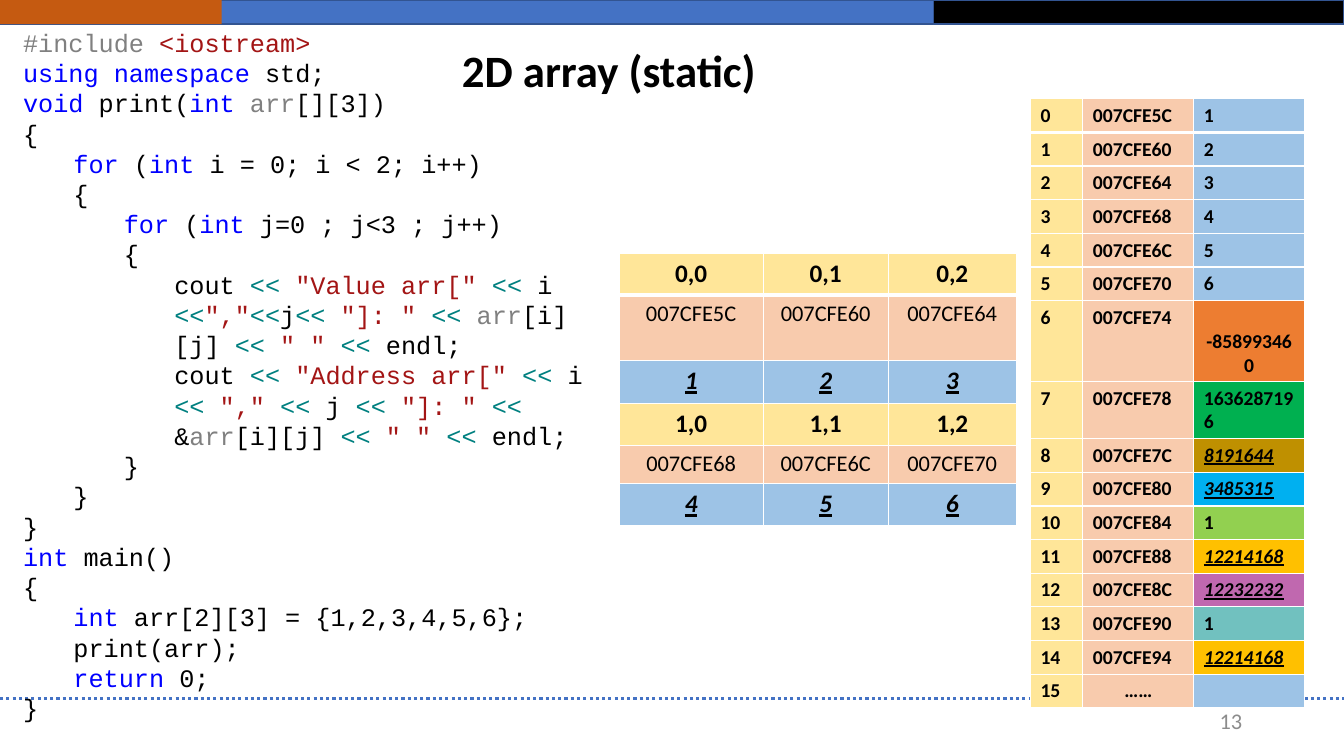
from dataclasses import dataclass
from lxml.etree import SubElement
from pptx import Presentation
from pptx.dml.color import RGBColor
from pptx.enum.dml import MSO_LINE
from pptx.enum.shapes import MSO_CONNECTOR, MSO_SHAPE
from pptx.enum.text import MSO_ANCHOR, PP_ALIGN
from pptx.oxml.ns import qn
from pptx.util import Inches, Pt


@dataclass(frozen=True)
class Theme:
    body_font: str = "Calibri"
    code_font: str = "Courier New"
    title_size: int = 32
    code_size: int = 18
    address_size: int = 16
    memory_size: int = 14
    number_size: int = 16
    black: str = "000000"
    white: str = "FFFFFF"
    blue: str = "4472C4"
    outline: str = "325491"
    rust: str = "C55A11"
    number: str = "8C8C8C"
    index_fill: str = "FFE699"
    address_fill: str = "F8CBAD"
    value_fill: str = "9DC3E6"


THEME = Theme()
SYNTAX = {"k": "0000FF", "s": "A31515", "o": "008080", "g": "808080"}
BASE_ADDRESS = 0x007CFE5C

CODE = [
    (0, "`g#include ``s<iostream>`"),
    (0, "`kusing namespace` std;"),
    (0, "`kvoid` print(`kint ``garr`[][3])"),
    (0, "{"),
    (1, "`kfor` (`kint` i = 0; i < 2; i++)"),
    (1, "{"),
    (2, "`kfor` (`kint` j=0 ; j<3 ; j++)"),
    (2, "{"),
    (3, 'cout `o<< ``s"Value arr[" ``o<< `i `o<<``s","``o<<`j`o<< ``s"]: " ``o<< '
        '``garr`[i][j] `o<< ``s" " ``o<< `endl;'),
    (3, 'cout `o<< ``s"Address arr[" ``o<< `i `o<< ``s"," ``o<<` j `o<< ``s"]: " ``o<<` &'
        '`garr`[i][j] `o<< ``s" " ``o<< `endl;'),
    (2, "}"),
    (1, "}"),
    (0, "}"),
    (0, "`kint` main()"),
    (0, "{"),
    (1, "`kint `arr[2][3] = {1,2,3,4,5,6};"),
    (1, "print(arr);"),
    (1, "`kreturn` 0;"),
    (0, "}"),
]

BEYOND_ARRAY = [
    (" -858993460", "ED7D31", False),
    ("1636287196", "00B050", False),
    ("8191644", "BF9000", True),
    ("3485315", "00B0F0", True),
    ("1", "92D050", False),
    ("12214168", "FFC000", True),
    ("12232232", "C068AF", True),
    ("1", "71C1BF", False),
    ("12214168", "FFC000", True),
    ("", THEME.value_fill, False),
]


def rgb(code):
    return RGBColor.from_string(code)


def address_at(index):
    return f"{BASE_ADDRESS + 4 * index:08X}"


def add_span(para, text, size, color=THEME.black, font=THEME.body_font, bold=False, marked=False):
    span = para.add_run()
    span.text = text
    span.font.name = font
    span.font.size = Pt(size)
    span.font.color.rgb = rgb(color)
    span.font.bold = bold
    if marked:
        span.font.italic = span.font.underline = True


def add_frame(page, box, anchor=MSO_ANCHOR.TOP):
    frame = page.shapes.add_textbox(*map(Inches, box)).text_frame
    frame.word_wrap = True
    frame.vertical_anchor = anchor
    return frame


def add_bar(page, box, fill, outline=None):
    bar = page.shapes.add_shape(MSO_SHAPE.RECTANGLE, *map(Inches, box))
    bar.shadow.inherit = False
    bar.fill.solid()
    bar.fill.fore_color.rgb = rgb(fill)
    if outline:
        bar.line.color.rgb = rgb(outline)
        bar.line.width = Pt(1)
    else:
        bar.line.fill.background()


def add_banner(page, box):
    left, top, width, height = box
    split = 9.26
    add_bar(page, (left, top, split, height), THEME.blue, THEME.outline)
    add_bar(page, (left + split, top, width - split, height), THEME.black, THEME.outline)
    add_bar(page, (left, top, 2.2, height), THEME.rust)


def add_footer(page, box):
    left, top, width, height = box
    rule = page.shapes.add_connector(
        MSO_CONNECTOR.STRAIGHT, Inches(left), Inches(top), Inches(left + width), Inches(top))
    rule.line.color.rgb = rgb(THEME.blue)
    rule.line.width = Pt(2.25)
    rule.line.dash_style = MSO_LINE.ROUND_DOT
    SubElement(rule._element.spPr, qn("a:effectLst"))
    frame = add_frame(page, (left + 9.42, top + 0.02, 3, height), MSO_ANCHOR.MIDDLE)
    para = frame.paragraphs[0]
    para.alignment = PP_ALIGN.RIGHT
    add_span(para, "13", THEME.number_size, THEME.number)


def add_title(page, box):
    para = add_frame(page, box, MSO_ANCHOR.MIDDLE).paragraphs[0]
    para.alignment = PP_ALIGN.CENTER
    para.line_spacing = 0.9
    add_span(para, "2D array (static)", THEME.title_size, bold=True)


def add_code(page, box):
    frame = add_frame(page, box)
    for number, (level, line) in enumerate(CODE):
        para = frame.add_paragraph() if number else frame.paragraphs[0]
        para.level = level
        props = para._p.get_or_add_pPr()
        props.set("marL", str(Inches(level / 2)))
        props.set("indent", "0")
        for position, part in enumerate(line.split("`")):
            if not part:
                continue
            color = THEME.black
            if position % 2:
                color, part = SYNTAX[part[0]], part[1:]
            add_span(para, part, THEME.code_size, color, THEME.code_font)


def add_borders(cell, row):
    props = cell._tc.get_or_add_tcPr()
    for side in "LRTB":
        heavy = (row, side) in ((0, "B"), (1, "T"))
        edge = SubElement(props, qn(f"a:ln{side}"), w=str(Pt(3 if heavy else 1)))
        SubElement(SubElement(edge, qn("a:solidFill")), qn("a:srgbClr"), val=THEME.white)


def add_grid(page, box, widths, heights):
    grid = page.shapes.add_table(len(heights), len(widths), *map(Inches, box)).table
    grid.horz_banding = False
    for column, width in zip(grid.columns, widths):
        column.width = Inches(width)
    for row, height in zip(grid.rows, heights):
        row.height = Inches(height)
    return grid


def fill_cell(grid, row, column, text, fill, size, bold=True, marked=False, centred=False):
    cell = grid.cell(row, column)
    add_borders(cell, row)
    cell.fill.solid()
    cell.fill.fore_color.rgb = rgb(fill)
    para = cell.text_frame.paragraphs[0]
    if centred:
        para.alignment = PP_ALIGN.CENTER
    if text:
        add_span(para, text, size, bold=bold, marked=marked)
    else:
        SubElement(para._p, qn("a:endParaRPr"), sz=str(size * 100))


def add_memory_table(page, box):
    values = [(str(n), THEME.value_fill, False) for n in range(1, 7)] + BEYOND_ARRAY
    grid = add_grid(page, box, (0.52, 1.1, 1.1), [0.27] * len(values))
    size = THEME.memory_size
    for row, (value, fill, marked) in enumerate(values):
        last = row == len(values) - 1
        fill_cell(grid, row, 0, str(row), THEME.index_fill, size)
        fill_cell(grid, row, 1, "……" if last else address_at(row),
                  THEME.address_fill, size, centred=last)
        fill_cell(grid, row, 2, value, fill, size, marked=marked, centred=value.startswith(" "))


def add_array_table(page, box):
    grid = add_grid(page, box, (1.43, 1.24, 1.27), (0.42, 0.65, 0.42, 0.42, 0.38, 0.42))
    for index in range(6):
        line, column = divmod(index, 3)
        top = 3 * line
        fill_cell(grid, top, column, f"{line},{column}", THEME.index_fill,
                  THEME.code_size, centred=True)
        fill_cell(grid, top + 1, column, address_at(index), THEME.address_fill,
                  THEME.address_size, bold=False, centred=True)
        fill_cell(grid, top + 2, column, str(index + 1), THEME.value_fill,
                  THEME.code_size, marked=True, centred=True)


deck = Presentation()
deck.slide_width, deck.slide_height = Inches(13.33), Inches(7.5)
page = deck.slides.add_slide(deck.slide_layouts[6])
add_banner(page, (0, 0, 13.33, 0.24))
add_footer(page, (0, 6.93, 13.33, 0.4))
add_code(page, (0.13, 0.22, 6.01, 7.07))
add_memory_table(page, (10.22, 0.98, 2.72, 5.8))
add_array_table(page, (6.14, 2.51, 3.94, 2.71))
add_title(page, (0.29, 0.3, 11.5, 0.84))
deck.save("out.pptx")
